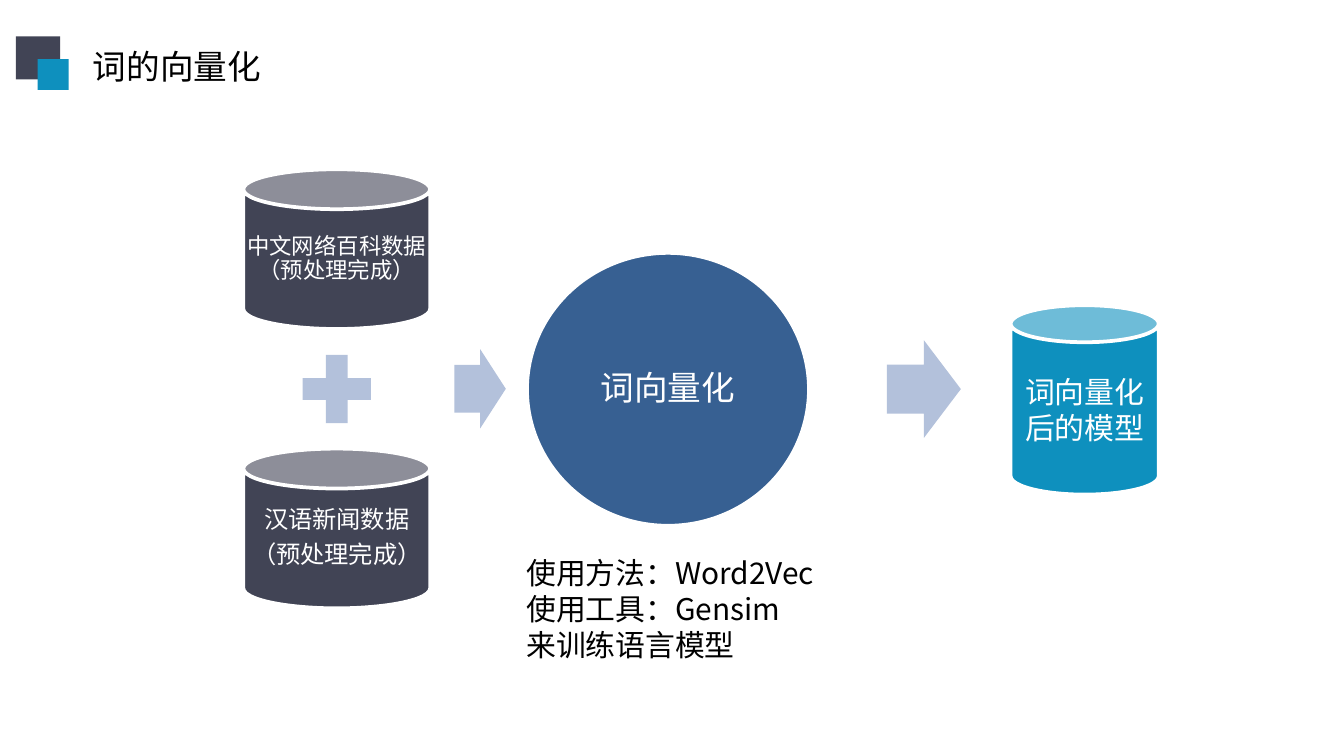
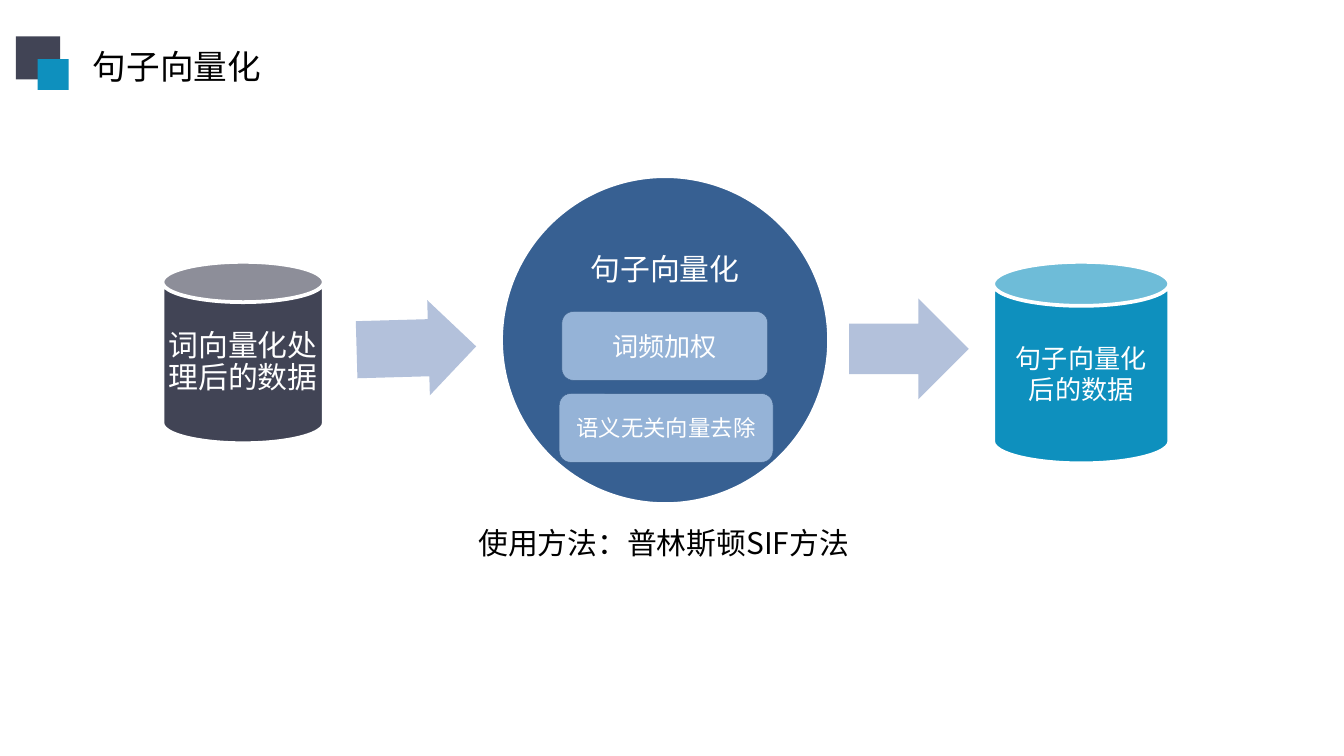
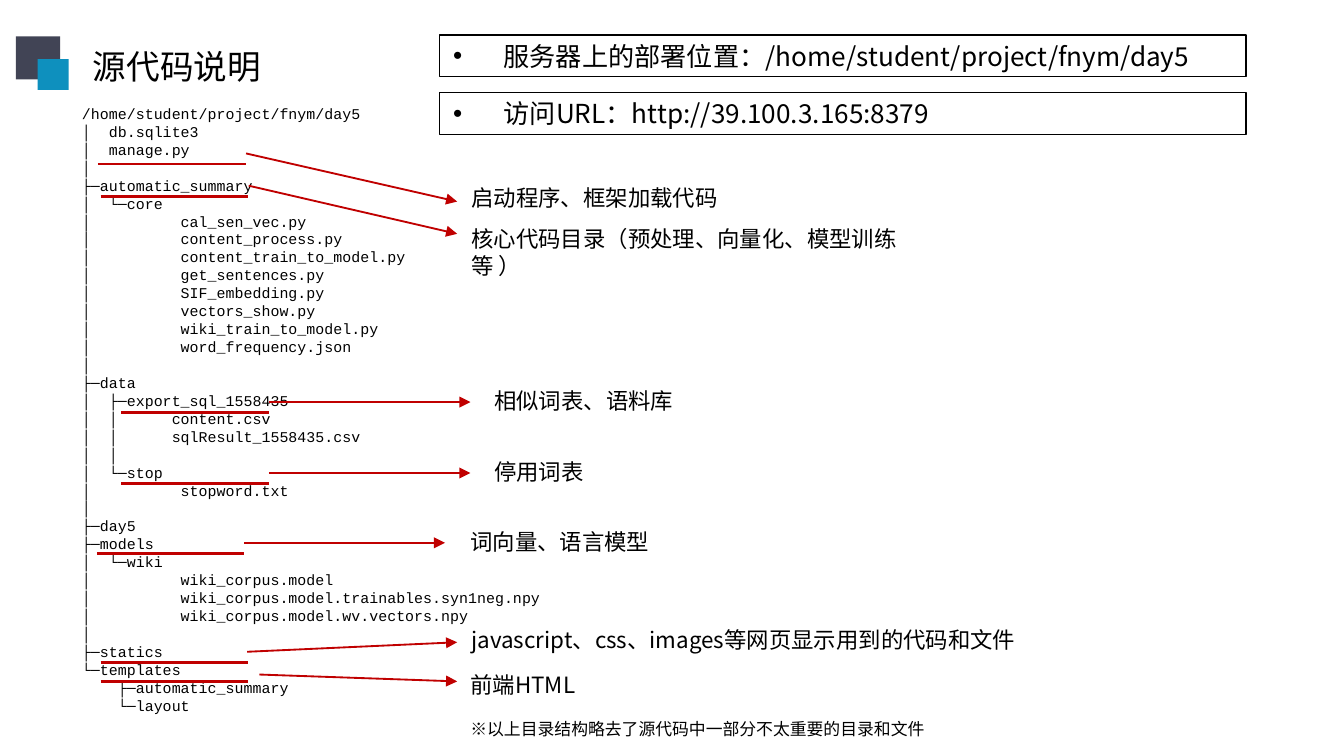
"""Build three slides on word vectors, sentence vectors and the source tree."""
import lxml.etree
import pptx
import pptx.dml.color
import pptx.enum.shapes
import pptx.enum.text
import pptx.oxml.ns
import pptx.util

Cm = pptx.util.Cm
Pt = pptx.util.Pt
KIND = pptx.enum.shapes.MSO_SHAPE
SIDE = pptx.enum.text.PP_ALIGN
SPOT = pptx.enum.text.MSO_ANCHOR
RGB = pptx.dml.color.RGBColor.from_string
qn = pptx.oxml.ns.qn

HUE = {
    "dark": "414455", "teal": "0E90BE", "blue": "376092", "pale": "B3C1DB",
    "soft": "95B3D7", "edge": "3A5F8C", "red": "C00000",
    "white": "FFFFFF", "black": "000000",
}
SANS = "Noto Sans CJK SC"
MONO = "Courier New"


def draw(slide, kind, at, fill, edge=None, width=2):
    shape = slide.shapes.add_shape(kind, *map(Cm, at))
    shape.shadow.inherit = False
    shape.fill.solid()
    shape.fill.fore_color.rgb = RGB(HUE[fill])
    if edge:
        shape.line.color.rgb = RGB(HUE[edge])
        shape.line.width = Pt(width)
    else:
        shape.line.fill.background()
    return shape


def write(shape, lines, size, hue="black", side=SIDE.LEFT, spot=SPOT.TOP,
          face=SANS, wrap=True, lead=None, after=None, pad=None):
    frame = shape.text_frame
    frame.word_wrap = wrap
    frame.auto_size = pptx.enum.text.MSO_AUTO_SIZE.NONE
    frame.vertical_anchor = spot
    if pad is not None:
        frame.margin_left = frame.margin_right = Cm(pad)
        frame.margin_top = frame.margin_bottom = Cm(pad)
    for i, line in enumerate(lines):
        para = frame.add_paragraph() if i else frame.paragraphs[0]
        para.alignment = side
        if lead:
            para.line_spacing = lead
        if after:
            para.space_after = Pt(after)
        run = para.add_run()
        run.text = line
        run.font.size = Pt(size)
        run.font.color.rgb = RGB(HUE[hue])
        run.font.name = face
        lxml.etree.SubElement(run._r.get_or_add_rPr(), qn("a:ea"), typeface=face)


deck = pptx.Presentation()
deck.slide_width = Cm(25.4)
deck.slide_height = Cm(14.29)

pages = []
for title, plan in [("词的向量化", 5), ("句子向量化", 5), ("源代码说明", 3)]:
    page = deck.slides.add_slide(deck.slide_layouts[plan])
    head = page.shapes.title
    head.left, head.top, head.width, head.height = map(Cm, (1.5, 0.74, 3.72, 1.02))
    write(head, [title], 18, spot=SPOT.MIDDLE, wrap=False)
    draw(page, KIND.RECTANGLE, (0.3, 0.69, 0.84, 0.81), "dark")
    draw(page, KIND.RECTANGLE, (0.71, 1.12, 0.59, 0.58), "teal")
    pages.append(page)
words, sents, code = pages

mid = {"hue": "white", "side": SIDE.CENTER, "spot": SPOT.MIDDLE}
snug = {**mid, "lead": 0.9, "pad": 0.05}

for top, lines, size in [
    (3.2, ["中文网络百科数据（预处理完成）"], 12),
    (8.48, ["汉语新闻数据", "（预处理完成）"], 13),
]:
    can = draw(words, KIND.CAN, (4.6, top, 3.53, 3.02), "dark", "white")
    write(can, lines, size, after=size * 0.35, **snug)
draw(words, KIND.MATH_PLUS, (5.49, 6.48, 1.75, 1.75), "pale")
arrow = draw(words, KIND.RIGHT_ARROW, (8.59, 6.6, 0.97, 1.5), "pale")
arrow.adjustments[0] = 0.6
disc = draw(words, KIND.OVAL, (9.96, 4.78, 5.33, 5.16), "blue", "white")
write(disc, ["词向量化"], 18, **snug)
draw(words, KIND.RIGHT_ARROW, (16.76, 6.43, 1.4, 1.85), "pale")
can = draw(words, KIND.CAN, (19.1, 5.77, 2.8, 3.58), "teal", "white")
write(can, ["词向量化后的模型"], 16, **mid)
note = words.shapes.add_textbox(*map(Cm, (9.7, 10.36, 6.81, 2.31)))
write(note, ["使用方法：Word2Vec", "使用工具：Gensim", "来训练语言模型"], 16)

can = draw(sents, KIND.CAN, (3.07, 4.95, 3.05, 3.43), "dark", "white")
write(can, ["词向量化处理后的数据"], 16, **snug)
arrow = draw(sents, KIND.RIGHT_ARROW, (6.74, 5.68, 2.26, 1.8), "pale")
arrow.adjustments[0] = 0.6
arrow.rotation = 358.4
disc = draw(sents, KIND.OVAL, (9.47, 3.33, 6.2, 6.2), "blue", "white")
write(disc, ["句子向量化"], 16, **{**snug, "spot": SPOT.TOP})
disc.text_frame.margin_top = Cm(0.58)
draw(sents, KIND.RIGHT_ARROW, (16.05, 5.64, 2.26, 1.91), "pale")
can = draw(sents, KIND.CAN, (18.77, 4.95, 3.33, 3.81), "teal", "white")
write(can, ["句子向量化后的数据"], 14, **mid)
for at, step, size in [
    ((10.62, 5.89, 3.89, 1.3), "词频加权", 14),
    ((10.57, 7.44, 4.04, 1.3), "语义无关向量去除", 12),
]:
    tile = draw(sents, KIND.ROUNDED_RECTANGLE, at, "soft", "edge", 0.25)
    write(tile, [step], size, **mid)
note = sents.shapes.add_textbox(*map(Cm, (8.79, 9.8, 8.64, 0.94)))
write(note, ["使用方法：普林斯顿SIF方法"], 16)

for slot, top, line in [
    (1, 0.66, "服务器上的部署位置：/home/student/project/fnym/day5"),
    (2, 1.75, "访问URL：http://39.100.3.165:8379"),
]:
    body = code.placeholders[slot]
    body.left, body.top, body.width, body.height = map(Cm, (8.31, top, 15.24, 0.79))
    body.line.color.rgb = RGB(HUE["black"])
    body.line.width = Pt(0.75)
    write(body, [line], 14, spot=SPOT.MIDDLE)

TREE = """/home/student/project/fnym/day5
│  db.sqlite3
│  manage.py
│
├─automatic_summary
│  └─core
│          cal_sen_vec.py
│          content_process.py
│          content_train_to_model.py
│          get_sentences.py
│          SIF_embedding.py
│          vectors_show.py
│          wiki_train_to_model.py
│          word_frequency.json
│
├─data
│  ├─export_sql_1558435
│  │      content.csv
│  │      sqlResult_1558435.csv
│  │
│  └─stop
│          stopword.txt
│
├─day5
├─models
│  └─wiki
│          wiki_corpus.model
│          wiki_corpus.model.trainables.syn1neg.npy
│          wiki_corpus.model.wv.vectors.npy
│
├─statics
└─templates
    ├─automatic_summary
    └─layout"""
tree = code.shapes.add_textbox(*map(Cm, (1.3, 1.85, 9.8, 11.89)))
write(tree, TREE.split("\n"), 8, face=MONO, lead=Pt(9.6))
note = code.shapes.add_textbox(*map(Cm, (8.64, 13.46, 11.81, 0.64)))
write(note, ["※以上目录结构略去了源代码中一部分不太重要的目录和文件"], 9)

for left, base, start, tip, at, text in [
    (1.85, 3.1, (4.65, 2.9), (8.64, 3.81), (8.66, 3.35, 9.4), "启动程序、框架加载代码"),
    (1.9, 3.71, (4.7, 3.51), (8.64, 4.42), (8.66, 4.14, 9.4),
     "核心代码目录（预处理、向量化、模型训练等 ）"),
    (2.29, 7.8, (5.08, 7.6), (8.89, 7.6), (9.09, 7.19, 9.4), "相似词表、语料库"),
    (2.29, 9.14, (5.08, 8.94), (8.89, 8.94), (9.09, 8.53, 9.4), "停用词表"),
    (1.83, 10.46, (4.62, 10.26), (8.41, 10.26), (8.64, 9.86, 9.4), "词向量、语言模型"),
    (1.9, 12.52, (4.67, 12.32), (8.64, 12.14), (8.66, 11.71, 12.01),
     "javascript、css、images等网页显示用到的代码和文件"),
    (1.9, 12.88, (4.9, 12.75), (8.64, 12.88), (8.64, 12.57, 9.4), "前端HTML"),
]:
    for ends, width, tail in [
        ((left, base, left + 2.79, base), 1.5, False),
        (start + tip, 1, True),
    ]:
        line = code.shapes.add_connector(
            pptx.enum.shapes.MSO_CONNECTOR.STRAIGHT, *map(Cm, ends))
        line.line.color.rgb = RGB(HUE["red"])
        line.line.width = Pt(width)
        if tail:
            lxml.etree.SubElement(
                line.line._get_or_add_ln(), qn("a:tailEnd"), type="triangle")
        lxml.etree.SubElement(line._element.spPr, qn("a:effectLst"))
    label = code.shapes.add_textbox(*map(Cm, at), Cm(0.76))
    write(label, [text], 12)

deck.save("out.pptx")
